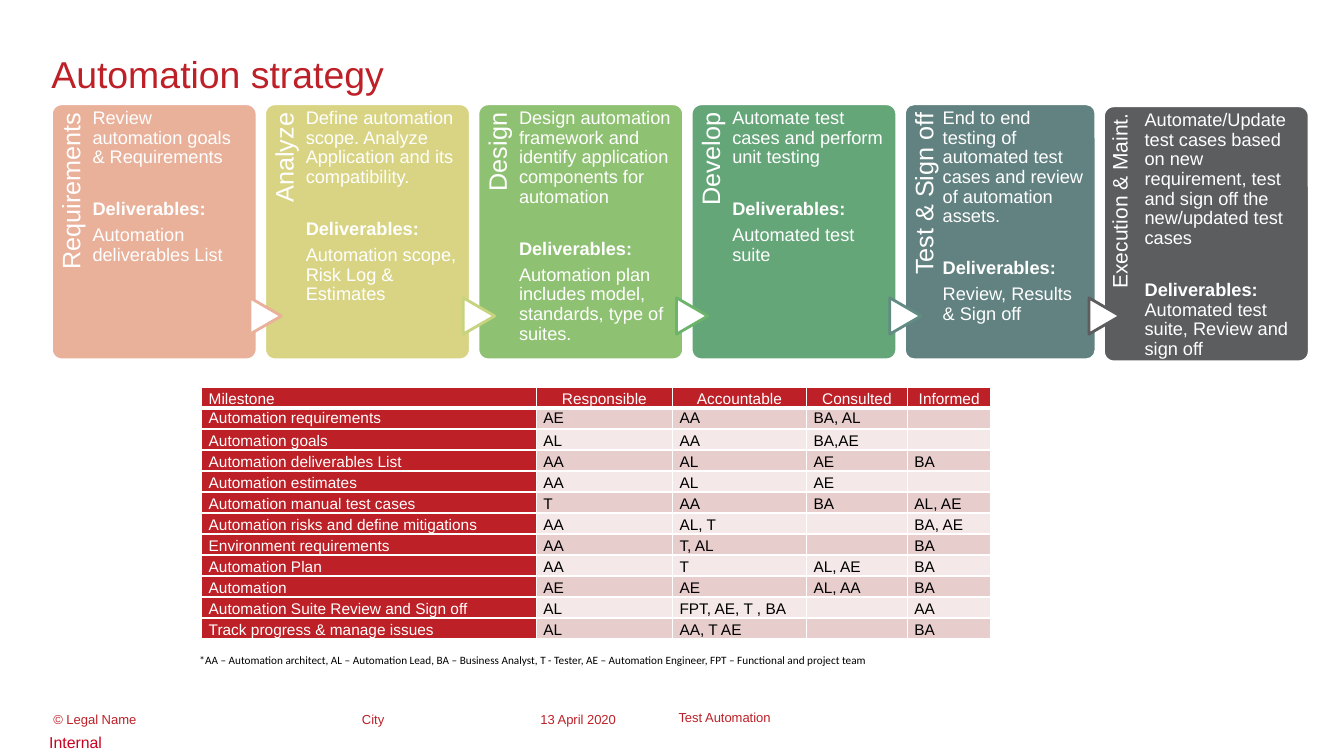
from dataclasses import dataclass

import pptx
import pptx.dml.color
import pptx.enum.shapes
import pptx.enum.text
import pptx.oxml
import pptx.oxml.ns
import pptx.util
from lxml import etree

ANCHOR = pptx.enum.text.MSO_ANCHOR
ALIGN = pptx.enum.text.PP_ALIGN
SHAPE = pptx.enum.shapes.MSO_SHAPE


@dataclass(frozen=True)
class Theme:
    font: str = "Arial"
    note_font: str = "Calibri"
    white: str = "FFFFFF"
    black: str = "000000"
    red: str = "BD2027"
    internal_red: str = "CA001F"
    bands: tuple = ("E8CDCD", "F4E8E8")
    title_size: float = 26.7
    body_size: float = 13
    table_size: float = 11
    footer_size: float = 9.3
    internal_size: float = 11.3
    note_size: float = 8


THEME = Theme()

# Label, label size, card width, top offset, fill, outline of the arrow leading in, task, deliverables
PHASES = [
    ("Requirements", 18, 2.04, 0, "E9B09A", None,
     "Review automation goals & Requirements", "Automation deliverables List"),
    ("Analyze", 18, 2.04, 0, "D8D483", "E9B09A",
     "Define automation scope. Analyze Application and its compatibility.",
     "Automation scope, Risk Log & Estimates"),
    ("Design", 18, 2.04, 0, "8FC172", "C8D37E",
     "Design automation framework and identify application components for automation",
     "Automation plan includes model, standards, type of suites."),
    ("Develop", 18, 2.04, 0, "65A679", "6DB46B",
     "Automate test cases and perform unit testing", "Automated test suite"),
    ("Test & Sign off", 18, 1.9, 0, "618281", "628B84",
     "End to end testing of automated test cases and review of automation assets.",
     "Review, Results & Sign off"),
    ("Execution & Maint.", 15, 2.04, 0.02, "5C5D5F", "5C5D5F",
     "Automate/Update test cases based on new requirement, test and sign off the "
     "new/updated test cases", "Automated test suite, Review and sign off"),
]
MILESTONES = [
    ("Milestone", "Responsible", "Accountable", "Consulted", "Informed"),
    ("Automation requirements", "AE", "AA", "BA, AL", ""),
    ("Automation goals", "AL", "AA", "BA,AE", ""),
    ("Automation deliverables List", "AA", "AL", "AE", "BA"),
    ("Automation estimates", "AA", "AL", "AE", ""),
    ("Automation manual test cases", "T", "AA", "BA", "AL, AE"),
    ("Automation risks and define mitigations", "AA", "AL, T", "", "BA, AE"),
    ("Environment requirements", "AA", "T, AL", "", "BA"),
    ("Automation Plan", "AA", "T", "AL, AE", "BA"),
    ("Automation", "AE", "AE", "AL, AA", "BA"),
    ("Automation Suite Review and Sign off", "AL", "FPT, AE, T , BA", "", "AA"),
    ("Track progress & manage issues", "AL", "AA, T AE", "", "BA"),
]
TITLE = "Automation strategy"
NOTE = ("*AA – Automation architect, AL – Automation Lead, BA – Business Analyst, T - Tester, "
        "AE – Automation Engineer, FPT – Functional and project team")
FOOTERS = [  # text, left, width, anchor
    ("© Legal Name", 0.53, 2.86, ANCHOR.TOP),
    ("City", 3.59, 1.62, ANCHOR.TOP),
    ("13 April 2020", 5.36, 1.17, ANCHOR.TOP),
    ("Test Automation", 6.73, 4.22, ANCHOR.MIDDLE),
]

MARGIN, CARD_TOP, CARD_HEIGHT, CARD_GAP = 0.51, 1.03, 2.54, 0.075
LABEL_SHARE, BODY_SHARE, LABEL_LENGTH = 0.2, 0.745, 2.08
ARROW_WIDTH, ARROW_HEIGHT, ARROW_TOP, ARROW_OVERLAP = 0.36, 0.31, 2.98, 0.17
TABLE_LEFT, TABLE_TOP, TABLE_HEIGHT = 2, 3.84, 2.5
TABLE_COLUMNS = (3.32, 1.35, 1.33, 1, 0.83)


def box(left, top, width, height):
    return [pptx.util.Inches(length) for length in (left, top, width, height)]


def color(value):
    return pptx.dml.color.RGBColor.from_string(value)


def style_run(run, size, fill, bold=False, font=THEME.font):
    run.font.name, run.font.size, run.font.bold = font, pptx.util.Pt(size), bold
    run.font.color.rgb = color(fill)


def add_text(slide, place, paragraphs, size, fill, insets=(0, 0, 0, 0),
             anchor=ANCHOR.TOP, font=THEME.font):
    shape = slide.shapes.add_textbox(*box(*place))
    frame = shape.text_frame
    frame.text = "\n".join(paragraphs)
    frame.word_wrap, frame.vertical_anchor = True, anchor
    (frame.margin_left, frame.margin_top,
     frame.margin_right, frame.margin_bottom) = box(*insets)
    for paragraph in frame.paragraphs:
        for run in paragraph.runs:
            style_run(run, size, fill, font=font)
    return shape


def add_shape(slide, kind, place, fill, outline):
    shape = slide.shapes.add_shape(kind, *box(*place))
    shape.shadow.inherit = False
    shape.fill.solid()
    shape.fill.fore_color.rgb = color(fill)
    shape.line.color.rgb = color(outline)
    shape.line.width = pptx.util.Pt(2)
    return shape


def set_card_spacing(shape, size):
    for paragraph in shape.text_frame.paragraphs:
        paragraph.line_spacing = 0.9
        paragraph.space_after = pptx.util.Pt(0.35 * size)


def add_phase(slide, left, phase, is_last):
    label, label_size, width, offset, fill, arrow_outline, task, result = phase
    top, label_width = CARD_TOP + offset, LABEL_SHARE * width
    card = add_shape(slide, SHAPE.ROUNDED_RECTANGLE, (left, top, width, CARD_HEIGHT),
                     fill, THEME.white)
    card.adjustments[0] = 0.05

    label_place = (left + (label_width - LABEL_LENGTH) / 2,
                   top + (LABEL_LENGTH - label_width) / 2, LABEL_LENGTH, label_width)
    inset = label_size * 0.004
    side = add_text(slide, label_place, [label], label_size, THEME.white,
                    (0, inset, inset * 1.25, 0))
    side.rotation = 270
    side.text_frame.paragraphs[0].alignment = ALIGN.RIGHT
    set_card_spacing(side, label_size)

    if arrow_outline:
        arrow = add_shape(slide, SHAPE.FLOWCHART_EXTRACT,
                          (left - ARROW_OVERLAP, ARROW_TOP, ARROW_WIDTH, ARROW_HEIGHT),
                          THEME.white, arrow_outline)
        arrow.rotation = 90

    lines = [task, "Deliverables: "] if is_last else [task, "Deliverables:", result]
    body = add_text(slide, (left + label_width, top, BODY_SHARE * width, CARD_HEIGHT),
                    lines, THEME.body_size, THEME.white, (0, 0.05, 0, 0))
    set_card_spacing(body, THEME.body_size)
    heading = body.text_frame.paragraphs[1]
    heading.space_before = pptx.util.Pt(18.5)
    heading.runs[0].font.bold = True
    if is_last:
        run = heading.add_run()
        run.text = result
        style_run(run, THEME.body_size, THEME.white)


def set_borders(cell, bottom_width):
    for side, width in (("L", 1), ("R", 1), ("T", 1), ("B", bottom_width)):
        cell._tc.get_or_add_tcPr().append(pptx.oxml.parse_xml(
            f'<a:ln{side} {pptx.oxml.ns.nsdecls("a")} w="{pptx.util.Pt(width)}">'
            f'<a:solidFill><a:srgbClr val="{THEME.white}"/></a:solidFill></a:ln{side}>'))


def add_milestones(slide):
    table = slide.shapes.add_table(
        len(MILESTONES), len(TABLE_COLUMNS),
        *box(TABLE_LEFT, TABLE_TOP, sum(TABLE_COLUMNS), TABLE_HEIGHT)).table
    for column, width in zip(table.columns, TABLE_COLUMNS):
        column.width = pptx.util.Inches(width)
    for row, texts in enumerate(MILESTONES):
        for column, text in enumerate(texts):
            cell = table.cell(row, column)
            is_heading = row == 0 or column == 0
            cell.text = text
            cell.margin_left = cell.margin_right = pptx.util.Inches(0.07)
            cell.margin_top = cell.margin_bottom = 0
            cell.vertical_anchor = ANCHOR.MIDDLE if row == 1 else ANCHOR.BOTTOM
            set_borders(cell, 3 if row == 0 else 1)
            cell.fill.solid()
            cell.fill.fore_color.rgb = color(THEME.red if is_heading else THEME.bands[(row - 1) % 2])
            paragraph = cell.text_frame.paragraphs[0]
            if row == 0 and column > 0:
                paragraph.alignment = ALIGN.CENTER
            for run in paragraph.runs:
                style_run(run, THEME.table_size, THEME.white if is_heading else THEME.black)
            if not text:
                etree.SubElement(paragraph._p, pptx.oxml.ns.qn("a:endParaRPr"),
                                 sz=str(THEME.table_size * 100))


def main():
    presentation = pptx.Presentation()
    presentation.slide_width = pptx.util.Inches(13.33)
    presentation.slide_height = pptx.util.Inches(7.5)
    slide = presentation.slides.add_slide(presentation.slide_layouts[6])

    add_text(slide, (MARGIN, 0.51, 12.23, 0.68), [TITLE], THEME.title_size, THEME.red)
    left = MARGIN
    for phase in PHASES:
        add_phase(slide, left, phase, phase is PHASES[-1])
        left += phase[2] + CARD_GAP
    add_milestones(slide)
    add_text(slide, (1.88, 6.43, 7.7, 0.24), [NOTE], THEME.note_size, THEME.black,
             (0.1, 0.05, 0.1, 0.05), font=THEME.note_font)
    for text, footer_left, width, anchor in FOOTERS:
        add_text(slide, (footer_left, 7.06, width, 0.12), [text], THEME.footer_size,
                 THEME.red, anchor=anchor)
    add_text(slide, (0.39, 7.22, 12.94, 0.28), ["Internal"], THEME.internal_size,
             THEME.internal_red, (0.1, 0.05, 0.1, 0.05))
    presentation.save("out.pptx")


if __name__ == "__main__":
    main()
